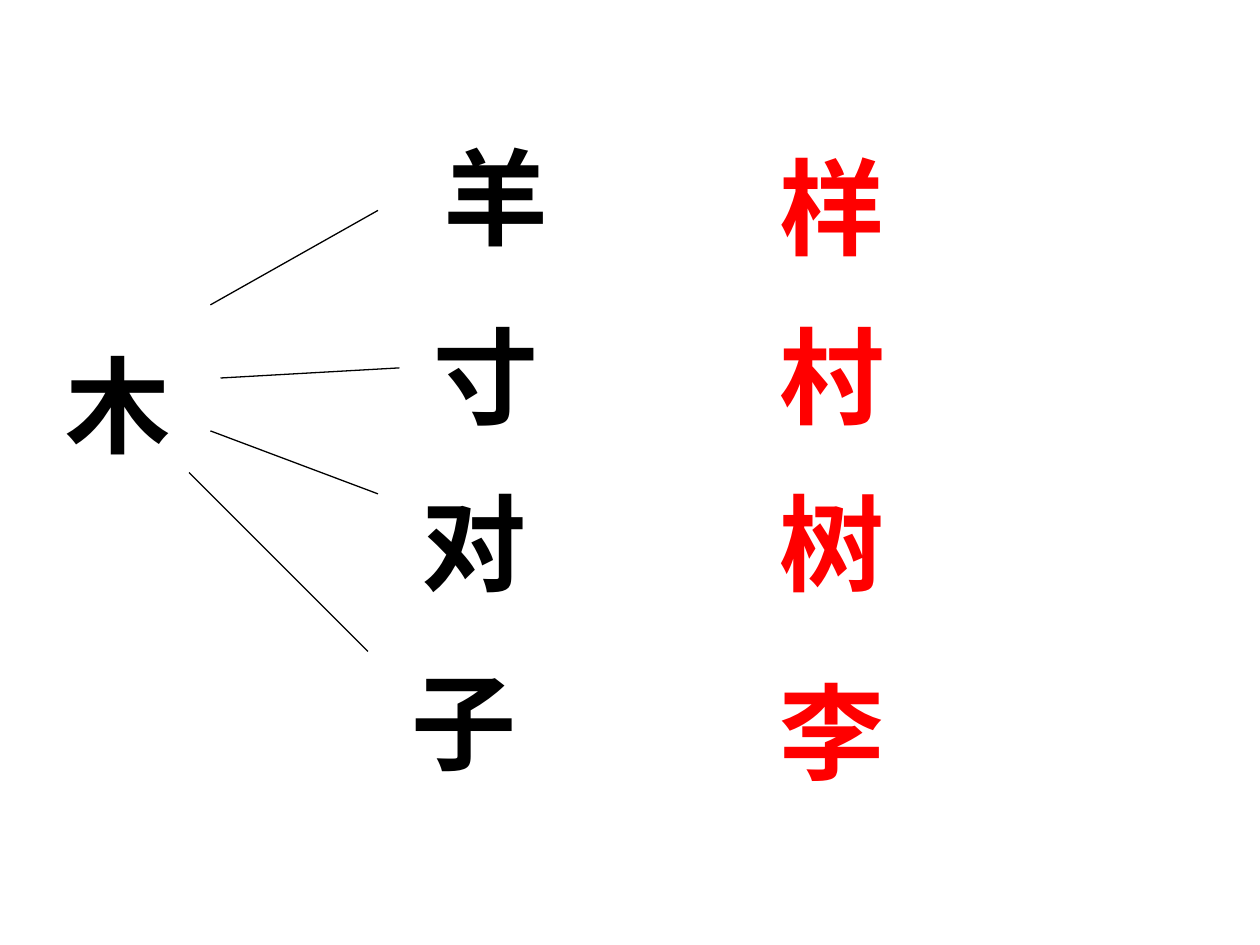
from dataclasses import dataclass

from lxml.etree import SubElement
from pptx import Presentation
from pptx.dml.color import RGBColor
from pptx.enum.shapes import MSO_CONNECTOR
from pptx.enum.text import MSO_AUTO_SIZE
from pptx.oxml.ns import qn
from pptx.util import Inches, Pt


@dataclass(frozen=True)
class Theme:
    font: str = "Times New Roman"
    character_size: Pt = Pt(60)
    line_width: Pt = Pt(0.75)
    ink: RGBColor = RGBColor(0, 0, 0)
    answer: RGBColor = RGBColor(255, 0, 0)


theme = Theme()
presentation = Presentation()
presentation.slide_width = Inches(10)
presentation.slide_height = Inches(7.5)
slide = presentation.slides.add_slide(presentation.slide_layouts[6])


def add_character(character, left, top, color):
    box = slide.shapes.add_textbox(Inches(left), Inches(top), Inches(1.03), Inches(1.1))
    frame = box.text_frame
    frame.word_wrap = False
    frame.auto_size = MSO_AUTO_SIZE.SHAPE_TO_FIT_TEXT
    run = frame.paragraphs[0].add_run()
    run.text = character
    run.font.name = theme.font
    run.font.size = theme.character_size
    run.font.bold = True
    run.font.color.rgb = color


# Lines from the radical to each component
radical_lines = [
    (1.67, 2.42, 3, 1.67),
    (1.75, 3, 3.17, 2.92),
    (1.67, 3.42, 3, 3.92),
    (1.5, 3.75, 2.92, 5.17),
]
for ends in radical_lines:
    connector = slide.shapes.add_connector(
        MSO_CONNECTOR.STRAIGHT, *[Inches(value) for value in ends]
    )
    connector.line.color.rgb = theme.ink
    connector.line.width = theme.line_width
    SubElement(connector._element.spPr, qn("a:effectLst"))

# Component, its left and top, then the combined character and its top
rows = [
    ("羊", 3.42, 1, "样", 1.08),
    ("寸", 3.34, 2.42, "村", 2.42),
    ("对", 3.25, 3.75, "树", 3.75),
    ("子", 3.17, 5.17, "李", 5.25),
]
add_character("木", 0.42, 2.65, theme.ink)
for component, left, top, combined, combined_top in rows:
    add_character(component, left, top, theme.ink)
    add_character(combined, 6.09, combined_top, theme.answer)

presentation.save("out.pptx")
